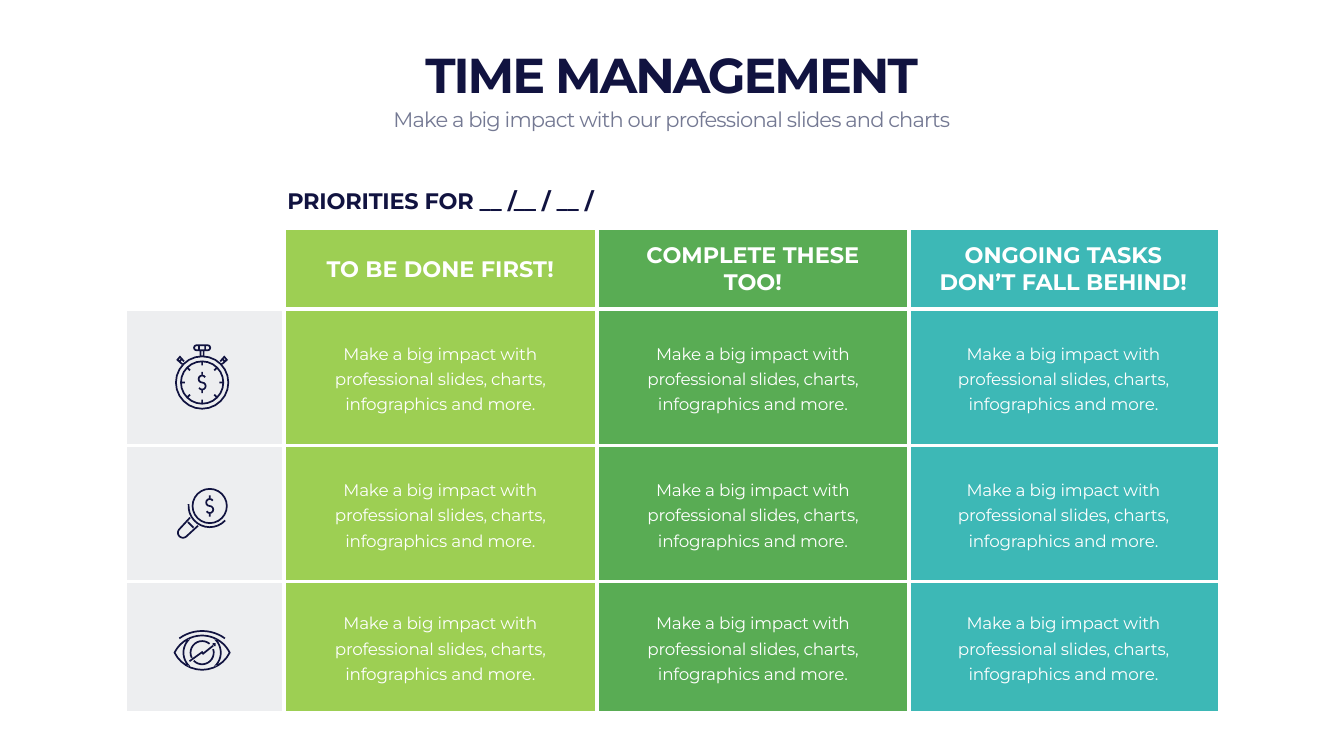
from math import cos, hypot, radians, sin

from lxml.etree import SubElement
from pptx import Presentation
from pptx.dml.color import RGBColor
from pptx.enum.text import MSO_ANCHOR as Anchor, MSO_AUTO_SIZE as Fit, PP_ALIGN as Align
from pptx.oxml import parse_xml
from pptx.oxml.ns import nsdecls, qn
from pptx.util import Inches, Pt

NAVY = RGBColor(0x11, 0x13, 0x40)
SLATE = RGBColor(0x74, 0x79, 0x93)
WHITE = RGBColor(0xFF, 0xFF, 0xFF)
MIST = RGBColor(0xC4, 0xC8, 0xCE)
LIME = RGBColor(0x9D, 0xCF, 0x53)
GREEN = RGBColor(0x59, 0xAC, 0x54)
TEAL = RGBColor(0x3D, 0xB8, 0xB6)

FONT = "Montserrat"
HALF = 0.017  # half the thickness of an icon's bands
COLS = [3.12, 6.21, 6.19, 6.13]
ROWS = [1.58, 2.71, 2.7, 2.58]
HEADS = [
    (["TO BE DONE FIRST!"], LIME),
    (["COMPLETE THESE", "TOO!"], GREEN),
    (["ONGOING TASKS", "DON’T FALL BEHIND!"], TEAL),
]
BODY = ["Make a big impact with", "professional slides, charts, infographics and more."]


# Text
def write(frame, lines, size, color, bold=False, align=Align.CENTER, gap=0, lead=None):
    for i, line in enumerate(lines):
        para = frame.paragraphs[0] if i == 0 else frame.add_paragraph()
        para.alignment = align
        if lead:
            para.line_spacing = Pt(lead)
        run = para.add_run()
        run.text = line
        font = run.font
        font.name, font.size, font.bold = FONT, Pt(size), bold
        font.color.rgb = color
        if gap:
            run._r.get_or_add_rPr().set("spc", str(round(gap * 100)))


def add_text(slide, box, line, size, color, anchor=Anchor.BOTTOM, **form):
    frame = slide.shapes.add_textbox(*map(Inches, box)).text_frame
    frame.word_wrap = True
    frame.auto_size = Fit.SHAPE_TO_FIT_TEXT
    frame.vertical_anchor = anchor
    write(frame, [line], size, color, **form)


# Table
def paint(cell, color, alpha=None):
    if color is None:
        cell.fill.background()
        return
    cell.fill.solid()
    cell.fill.fore_color.rgb = color
    if alpha:
        tone = cell._tc.tcPr.find(qn("a:solidFill")).find(qn("a:srgbClr"))
        SubElement(tone, qn("a:alpha")).set("val", str(alpha * 1000))


def rule(cell, r, c):
    """Draw the lines that part this cell from its neighbours."""
    inner = {"L": c > 0, "R": c < len(COLS) - 1, "T": r > 0, "B": r < len(ROWS) - 1}
    sides = [side for side, on in inner.items() if on]
    for i, side in enumerate(sides):
        cell._tc.get_or_add_tcPr().insert(i, parse_xml(
            f'<a:ln{side} {nsdecls("a")} w="{Pt(6)}"><a:solidFill>'
            f'<a:srgbClr val="{WHITE}"/></a:solidFill></a:ln{side}>'))


def add_grid(slide):
    box = map(Inches, (2.51, 4.55, sum(COLS), sum(ROWS)))
    table = slide.shapes.add_table(len(ROWS), len(COLS), *box).table
    table.first_row = table.horz_banding = False
    for col, width in zip(table.columns, COLS):
        col.width = Inches(width)
    for r, height in enumerate(ROWS):
        table.rows[r].height = Inches(height)
        for c in range(len(COLS)):
            cell = table.cell(r, c)
            cell.vertical_anchor = Anchor.MIDDLE
            if c == 0:
                paint(cell, MIST if r else None, alpha=30)
            else:
                head, color = HEADS[c - 1]
                paint(cell, color)
                if r == 0:
                    write(cell.text_frame, head, 32, WHITE, bold=True)
                else:
                    write(cell.text_frame, BODY, 24, WHITE, gap=-0.3, lead=36)
            rule(cell, r, c)


# Icon outlines, relative to the icon's centre
def arc(x, y, radius, start, end, steps=12):
    turns = [radians(start + (end - start) * i / steps) for i in range(steps + 1)]
    return [(x + radius * cos(t), y + radius * sin(t)) for t in turns]


def ring(radius):
    return arc(0, 0, radius, 0, 360, 24)


def band(line):
    """Return the closed outline of a thick line with mitred corners."""
    norms = []
    for (x1, y1), (x2, y2) in zip(line, line[1:]):
        size = hypot(x2 - x1, y2 - y1)
        norms.append(((y1 - y2) / size, (x2 - x1) / size))
    one, two = [], []
    for (x, y), a, b in zip(line, norms[:1] + norms, norms + norms[-1:]):
        scale = HALF / (1 + a[0] * b[0] + a[1] * b[1])
        dx, dy = scale * (a[0] + b[0]), scale * (a[1] + b[1])
        one.append((x + dx, y + dy))
        two.append((x - dx, y - dy))
    return one + two[::-1]


def add_icon(slide, mid, lines):
    pen = None
    for line in lines:
        spots = [(Inches(mid[0] + x), Inches(mid[1] + y)) for x, y in band(line)]
        if pen is None:
            pen = slide.shapes.build_freeform(*spots[0])
        else:
            pen.move_to(*spots[0])
        pen.add_line_segments(spots[1:], close=True)
    icon = pen.convert_to_shape()
    icon.shadow.inherit = False
    icon.fill.solid()
    icon.fill.fore_color.rgb = NAVY
    icon.line.fill.background()


def dollar():
    curl = arc(0, -0.07, 0.07, -30, -270, 8) + arc(0, 0.07, 0.07, -90, 150, 8)[1:]
    return [curl, [(0, -0.16), (0, -0.21)], [(0, 0.16), (0, 0.21)]]


def watch():
    lines = [ring(0.52), ring(0.42)] + dollar()
    for turn in range(0, 360, 45):
        lines.append([arc(0, 0, far, turn, turn, 1)[0] for far in (0.34, 0.4)])
    lines.append([(0, -0.74)] + arc(0.11, -0.69, 0.05, -90, 90, 6)
                 + arc(-0.11, -0.69, 0.05, 90, 270, 6) + [(0, -0.74)])
    for side in (-1, 1):
        parts = [
            [(0.06, -0.72), (0.06, -0.66)],
            [(0.03, -0.62), (0.03, -0.54)],
            [(0.4, -0.37), (0.49, -0.45), (0.44, -0.51), (0.36, -0.42)],
            [(0.44, -0.43), (0.41, -0.46)],
        ]
        lines += [[(side * x, y) for x, y in part] for part in parts]
    return lines


def lens():
    grip = [(-0.39, 0.23)] + arc(-0.53, 0.53, 0.1, 225, 45) + [(-0.23, 0.39)]
    collar = [(-0.43, 0.32), (-0.32, 0.43)]
    return [ring(0.34), arc(0, 0, 0.42, 43, 185), grip, collar] + dollar()


def eye():
    lids = (arc(0, 0.27, 0.61, 270, 333.7) + arc(0, -0.27, 0.61, 26.3, 153.7)[1:]
            + arc(0, 0.27, 0.61, 206.3, 270)[1:])
    iris = [arc(0, 0, 0.37, -46, 46), arc(0, 0, 0.37, 134, 226)]
    pupil = [arc(0, 0, 0.23, -18, 136), arc(0, 0, 0.23, 154, 310)]
    trend = [(-0.25, 0.17), (0, -0.01), (0.02, 0.02), (0.22, -0.14)]
    tip = [(0.21, -0.17), (0.25, -0.17), (0.25, -0.13)]
    return [lids, arc(0, 0.34, 0.77, 234, 306), *iris, *pupil, trend, tip]


def main():
    deck = Presentation()
    deck.slide_width, deck.slide_height = Inches(26.66), Inches(15)
    slide = deck.slides.add_slide(deck.slide_layouts[6])

    add_grid(slide)
    add_icon(slide, (4.01, 12.95), eye())
    add_icon(slide, (4.16, 10.04), lens())
    add_icon(slide, (4.01, 7.59), watch())

    # Titles
    add_text(slide, (1.66, 0.82, 23.33, 1.28), "TIME MANAGEMENT", 70, NAVY,
             bold=True, gap=-2.9)
    add_text(slide, (1.66, 2.06, 23.33, 0.61),
             "Make a big impact with our professional slides and charts", 30, SLATE,
             anchor=Anchor.TOP, gap=-1.2)
    add_text(slide, (5.6, 3.66, 12, 0.64), "PRIORITIES FOR __ /__ / __ /", 32, NAVY,
             bold=True, align=Align.LEFT, gap=-0.3)
    deck.save("out.pptx")


if __name__ == "__main__":
    main()
